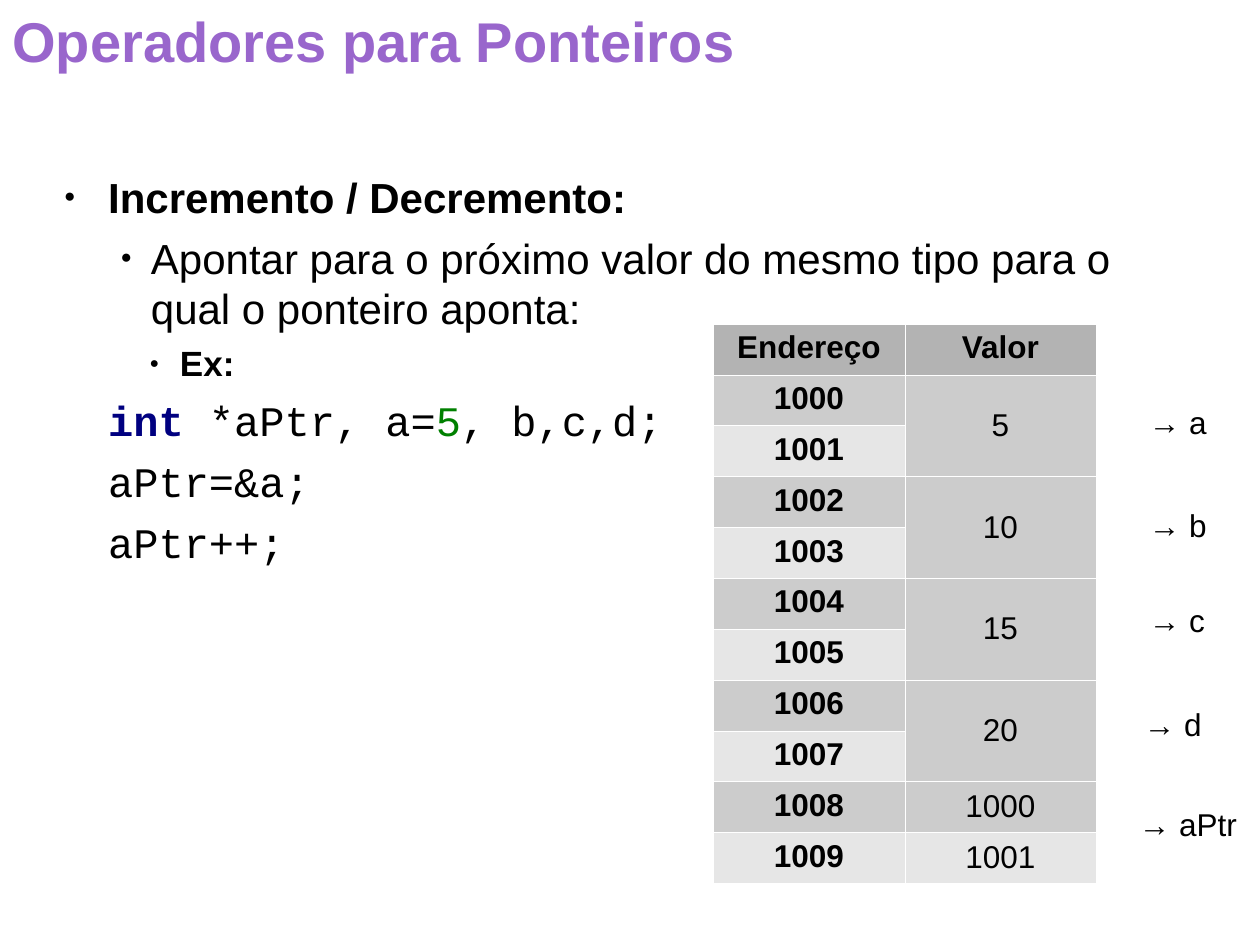
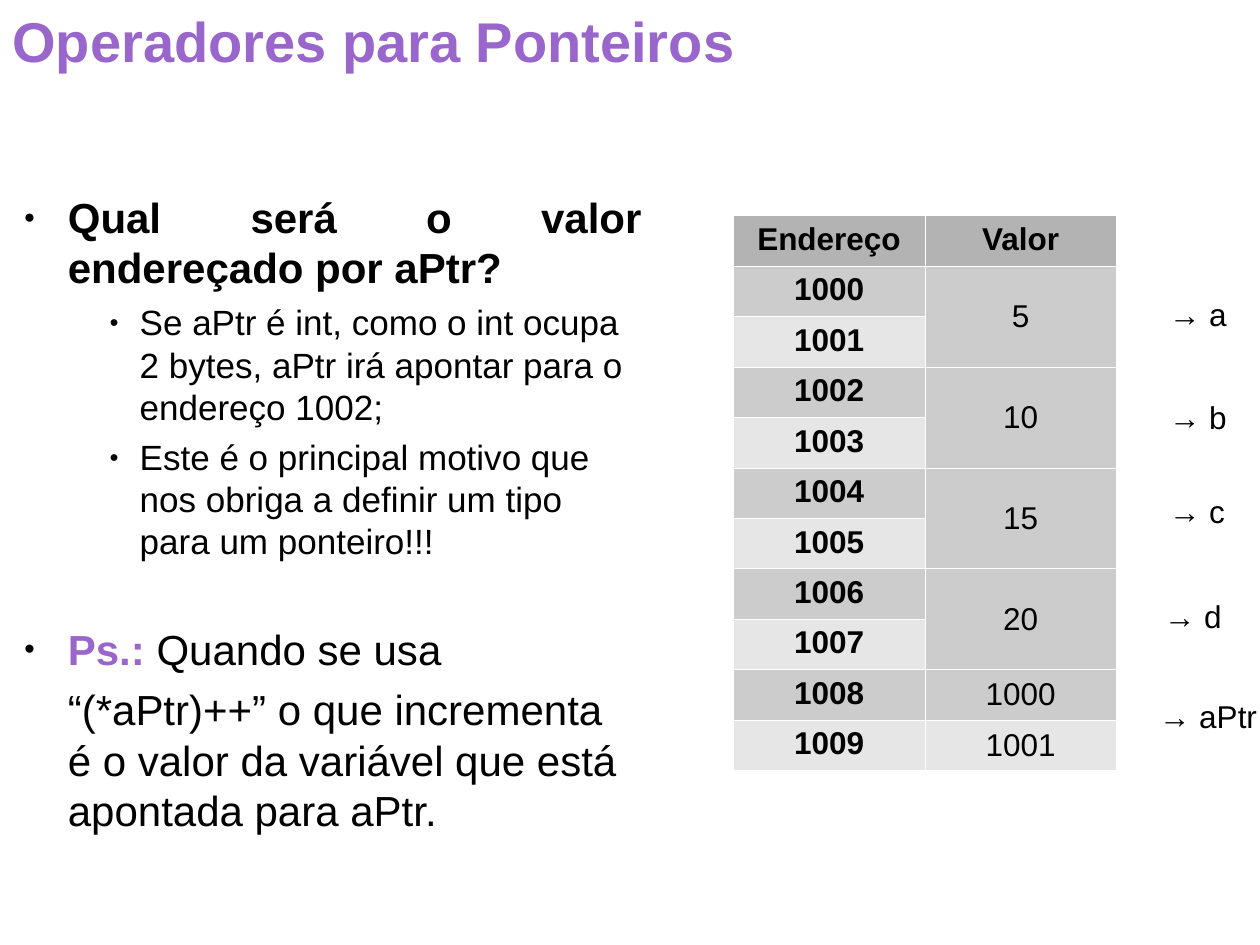
import lxml.etree
import pptx
import pptx.dml.color
import pptx.enum.text
import pptx.oxml.ns
import pptx.util

Inches = pptx.util.Inches
ALIGN = pptx.enum.text.PP_ALIGN
ANCHOR = pptx.enum.text.MSO_ANCHOR

COLORS = {
    "title": "9966CC",
    "text": "000000",
    "keyword": "000080",
    "number": "008000",
    "header": "B3B3B3",
    "band_dark": "CCCCCC",
    "band_light": "E6E6E6",
    "border": "FFFFFF",
}
TITLE = "Operadores para Ponteiros"
LEVELS = {
    1: {"left": 0.37, "hanging": 0.35, "before": 6},
    2: {"left": 0.71, "hanging": 0.24, "before": 6},
    3: {"left": 0.94, "hanging": 0.24, "before": 5},
}
FIRST_ADDRESS = 1000
ADDRESS_COUNT = 10
VALUES = [("5", 2), ("10", 2), ("15", 2), ("20", 2), ("1000", 1), ("1001", 1)]
VARIABLES = [
    ("a", 3.36, 0.58, 0.66),
    ("b", 3.36, 1.4, 0.66),
    ("c", 3.36, 2.15, 0.66),
    ("d", 3.32, 2.98, 0.66),
    ("aPtr", 3.28, 3.77, 0.98),
]


def rgb(name):
    """Return the named colour of the palette."""
    return pptx.dml.color.RGBColor.from_string(COLORS[name])


def add_element(parent, tag, **attributes):
    """Append a DrawingML element to its parent."""
    return lxml.etree.SubElement(parent, pptx.oxml.ns.qn(tag), **attributes)


def add_span(para, text, size=24, color="text", bold=False, font="Arial"):
    """Add formatted text to a paragraph."""
    span = para.add_run()
    span.text = text
    span.font.size = pptx.util.Pt(size)
    span.font.name = font
    span.font.bold = bold
    span.font.color.rgb = rgb(color)


def add_box(page, left, top, width, height, wrap=True):
    """Add a text box and return its frame."""
    frame = page.shapes.add_textbox(
        Inches(left), Inches(top), Inches(width), Inches(height)).text_frame
    frame.word_wrap = wrap
    return frame


def add_item(frame, level=1, bullet=True, before=None, align=None):
    """Start a body paragraph at an outline level."""
    first = not frame.paragraphs[0].runs
    para = frame.paragraphs[0] if first else frame.add_paragraph()
    style = LEVELS[level]
    properties = para._p.get_or_add_pPr()
    properties.set("marL", str(Inches(style["left"])))
    properties.set("indent", str(-Inches(style["hanging"]) if bullet else 0))
    if bullet:
        bullet_color = add_element(properties, "a:buClr")
        add_element(bullet_color, "a:srgbClr", val=COLORS["text"])
        add_element(properties, "a:buSzPct", val="45000")
        add_element(properties, "a:buFont", typeface="Arial")
        add_element(properties, "a:buChar", char="●")
    para.alignment = align
    if not first:
        para.space_before = pptx.util.Pt(before or style["before"])
    return para


def add_title(page):
    """Add the slide title."""
    frame = add_box(page, 0, 0, 9.02, 0.64)
    frame.vertical_anchor = ANCHOR.MIDDLE
    add_span(frame.paragraphs[0], TITLE, size=32, color="title", bold=True)


def fill_cell(cell, text, fill, bold=False, anchor=ANCHOR.TOP):
    """Write, border and fill one table cell."""
    properties = cell._tc.get_or_add_tcPr()
    for side in ("a:lnL", "a:lnR", "a:lnT", "a:lnB"):
        line = add_element(properties, side, w="762")
        add_element(add_element(line, "a:solidFill"), "a:srgbClr", val=COLORS["border"])
    cell.fill.solid()
    cell.fill.fore_color.rgb = rgb(fill)
    cell.vertical_anchor = anchor
    para = cell.text_frame.paragraphs[0]
    para.alignment = ALIGN.CENTER
    if text:
        add_span(para, text, size=18, bold=bold)


def add_memory_table(page, left, top, height):
    """Add the table of addresses and values."""
    rows = ADDRESS_COUNT + 1
    table = page.shapes.add_table(
        rows, 2, Inches(left), Inches(top), Inches(3.04), Inches(height)).table
    table.horz_banding = False
    for row in table.rows:
        row.height = Inches(height / rows)
    for column, heading in enumerate(("Endereço", "Valor")):
        fill_cell(table.cell(0, column), heading, "header", bold=True)
    bands = ["band_light", "band_dark"]
    for row in range(1, rows):
        address = str(FIRST_ADDRESS + row - 1)
        fill_cell(table.cell(row, 0), address, bands[row % 2], bold=True)
    row = 1
    for value, span in VALUES:
        for offset in range(span):
            text = "" if offset else value
            fill_cell(table.cell(row + offset, 1), text, bands[row % 2], anchor=ANCHOR.MIDDLE)
        if span > 1:
            table.cell(row, 1).merge(table.cell(row + span - 1, 1))
        row += span


def add_memory(page, left, top, height):
    """Add the memory table with the variable names beside it."""
    add_memory_table(page, left, top, height)
    for name, across, down, width in VARIABLES:
        frame = add_box(page, left + across, top + down, width, 0.4, wrap=False)
        frame.auto_size = pptx.enum.text.MSO_AUTO_SIZE.SHAPE_TO_FIT_TEXT
        add_span(frame.paragraphs[0], f"→ {name}", size=18)


def add_increment_text(page, left, top, width, height):
    """Add the explanation of increment with its code."""
    frame = add_box(page, left, top, width, height)
    add_span(add_item(frame), "Incremento / Decremento:", bold=True)
    add_span(add_item(frame, level=2),
             "Apontar para o próximo valor do mesmo tipo para o qual o ponteiro aponta:")
    add_span(add_item(frame, level=3), "Ex:", size=20, bold=True)
    code = [
        [("int", "keyword"), (" *aPtr, a=", "text"), ("5", "number"), (", b,c,d;", "text")],
        [("aPtr=&a;", "text")],
        [("aPtr++;", "text")],
    ]
    for line in code:
        para = add_item(frame, bullet=False)
        for text, color in line:
            add_span(para, text, color=color, bold=color == "keyword", font="Courier New")


def add_question_text(page, left, top, width, height):
    """Add the question about the pointer and its answer."""
    frame = add_box(page, left, top, width, height)
    add_span(add_item(frame, align=ALIGN.JUSTIFY),
             "Qual será o valor endereçado por aPtr?", bold=True)
    for answer in (
        "Se aPtr é int, como o int ocupa 2 bytes, aPtr irá apontar para o endereço 1002;",
        "Este é o principal motivo que nos obriga a definir um tipo para um ponteiro!!!",
    ):
        add_span(add_item(frame, level=3), answer, size=20)
    note = add_item(frame, before=35)
    add_span(note, "Ps.:", color="title", bold=True)
    add_span(note, " Quando se usa")
    remark = add_item(frame, bullet=False)
    add_span(remark, "“(*aPtr)++” o que incrementa")
    remark.add_line_break()
    add_span(remark, "é o valor da variável que está apontada para aPtr.")


def add_page(deck):
    """Add a blank page with the shared title."""
    page = deck.slides.add_slide(deck.slide_layouts[6])
    add_title(page)
    return page


def main():
    """Build and save the deck."""
    deck = pptx.Presentation()
    deck.slide_width = Inches(10)
    deck.slide_height = Inches(7.5)

    page = add_page(deck)
    add_increment_text(page, 0.39, 1.31, 9.23, 5.59)
    add_memory(page, 5.66, 2.57, 4.44)

    page = add_page(deck)
    add_question_text(page, 0.07, 1.47, 5.12, 5.59)
    add_memory(page, 5.82, 1.71, 4.4)

    deck.save("out.pptx")


if __name__ == "__main__":
    main()
